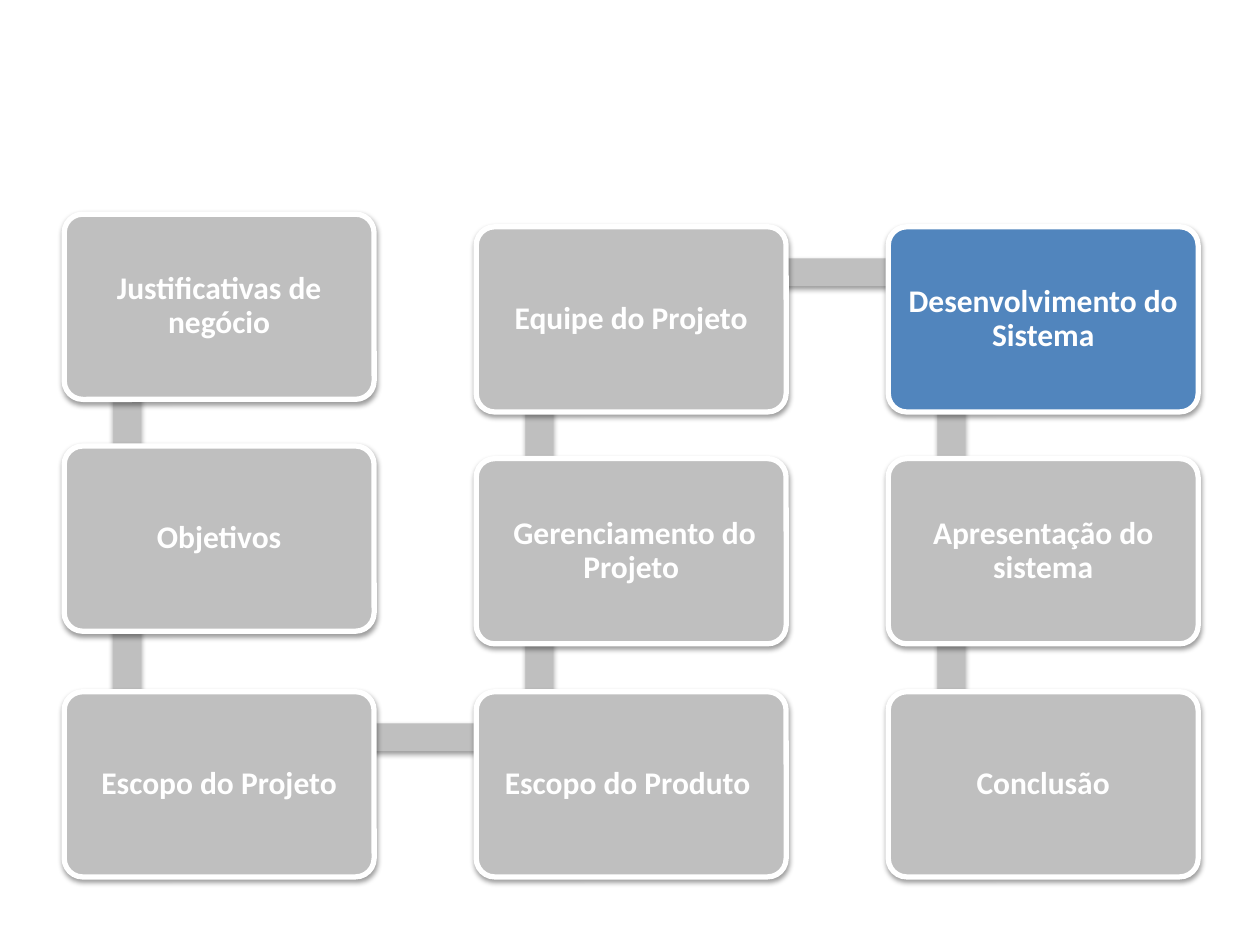
import dataclasses

import lxml.etree
import pptx
import pptx.dml.color
import pptx.enum.shapes
import pptx.enum.text
import pptx.oxml.ns
import pptx.util

Inches = pptx.util.Inches
Pt = pptx.util.Pt
RGBColor = pptx.dml.color.RGBColor
Shape = pptx.enum.shapes.MSO_SHAPE
qn = pptx.oxml.ns.qn

GREY = RGBColor(0xBF, 0xBF, 0xBF)
BLUE = RGBColor(0x51, 0x85, 0xBD)
WHITE = RGBColor(0xFF, 0xFF, 0xFF)

BOX_W, BOX_H = 2.46, 1.47
BAR = 0.22
ANCHOR_X, ANCHOR_Y = 0.5, 0.36  # where bars meet inside a box
COLUMNS = (0.51, 3.78, 7.05)
FIRST_ROWS = (1.7, 3.54, 5.49)
ROWS = (1.8, 3.64, 5.49)


@dataclasses.dataclass(frozen=True)
class Step:
    text: str
    left: float
    top: float
    fill: RGBColor = GREY


# The path snakes down, up and down again through the columns.
STEPS = (
    Step("Justificativas de negócio", COLUMNS[0], FIRST_ROWS[0]),
    Step("Objetivos", COLUMNS[0], FIRST_ROWS[1]),
    Step("Escopo do Projeto", COLUMNS[0], FIRST_ROWS[2]),
    Step("Escopo do Produto ", COLUMNS[1], ROWS[2]),
    Step(" Gerenciamento do Projeto", COLUMNS[1], ROWS[1]),
    Step("Equipe do Projeto", COLUMNS[1], ROWS[0]),
    Step("Desenvolvimento do Sistema", COLUMNS[2], ROWS[0], BLUE),
    Step("Apresentação do sistema", COLUMNS[2], ROWS[1]),
    Step("Conclusão", COLUMNS[2], ROWS[2]),
)


def add_shadow(sp) -> None:
    sp.shadow.inherit = False
    effects = sp.element.spPr.find(qn("a:effectLst"))
    shadow = lxml.etree.SubElement(
        effects, qn("a:outerShdw"), blurRad=str(Pt(3.1)), dist=str(Pt(1.6)),
        dir="5400000", rotWithShape="0")
    color = lxml.etree.SubElement(shadow, qn("a:srgbClr"), val="000000")
    lxml.etree.SubElement(color, qn("a:alpha"), val="38000")


def add_filled(s, kind: Shape, left: float, top: float, width: float,
               height: float, fill: RGBColor):
    sp = s.shapes.add_shape(kind, Inches(left), Inches(top),
                            Inches(width), Inches(height))
    sp.fill.solid()
    sp.fill.fore_color.rgb = fill
    sp.line.fill.background()
    add_shadow(sp)
    return sp


def write_text(sp, text: str, *, size: float = 18, font: str = "Calibri",
               color: RGBColor = WHITE, bold: bool = True,
               inset: float = 0.11, spacing: float = 0.9) -> None:
    tf = sp.text_frame
    tf.word_wrap = True
    tf.vertical_anchor = pptx.enum.text.MSO_ANCHOR.MIDDLE
    tf.margin_left = tf.margin_right = Inches(inset)
    tf.margin_top = tf.margin_bottom = Inches(inset)
    p = tf.paragraphs[0]
    p.alignment = pptx.enum.text.PP_ALIGN.CENTER
    p.line_spacing = spacing
    r = p.add_run()
    r.text = text
    r.font.size = Pt(size)
    r.font.name = font
    r.font.bold = bold
    r.font.color.rgb = color


def add_bar(s, start: Step, end: Step) -> None:
    """Join the anchor points of two neighbouring steps."""
    left = min(start.left, end.left) + ANCHOR_X
    top = min(start.top, end.top) + ANCHOR_Y
    if start.left == end.left:
        add_filled(s, Shape.RECTANGLE, left - BAR / 2, top,
                   BAR, abs(end.top - start.top), GREY)
    else:
        add_filled(s, Shape.RECTANGLE, left, top - BAR / 2,
                   end.left - start.left, BAR, GREY)


def add_box(s, step: Step) -> None:
    sp = add_filled(s, Shape.ROUNDED_RECTANGLE, step.left, step.top,
                    BOX_W, BOX_H, step.fill)
    sp.adjustments[0] = 0.1
    sp.line.color.rgb = WHITE
    sp.line.width = Pt(3)
    write_text(sp, step.text)


def main() -> None:
    prs = pptx.Presentation()
    prs.slide_width, prs.slide_height = Inches(10), Inches(7.5)
    s = prs.slides.add_slide(prs.slide_layouts[6])
    for start, end in zip(STEPS, STEPS[1:]):
        add_bar(s, start, end)
    for step in STEPS:
        add_box(s, step)
    prs.save("out.pptx")


if __name__ == "__main__":
    main()
